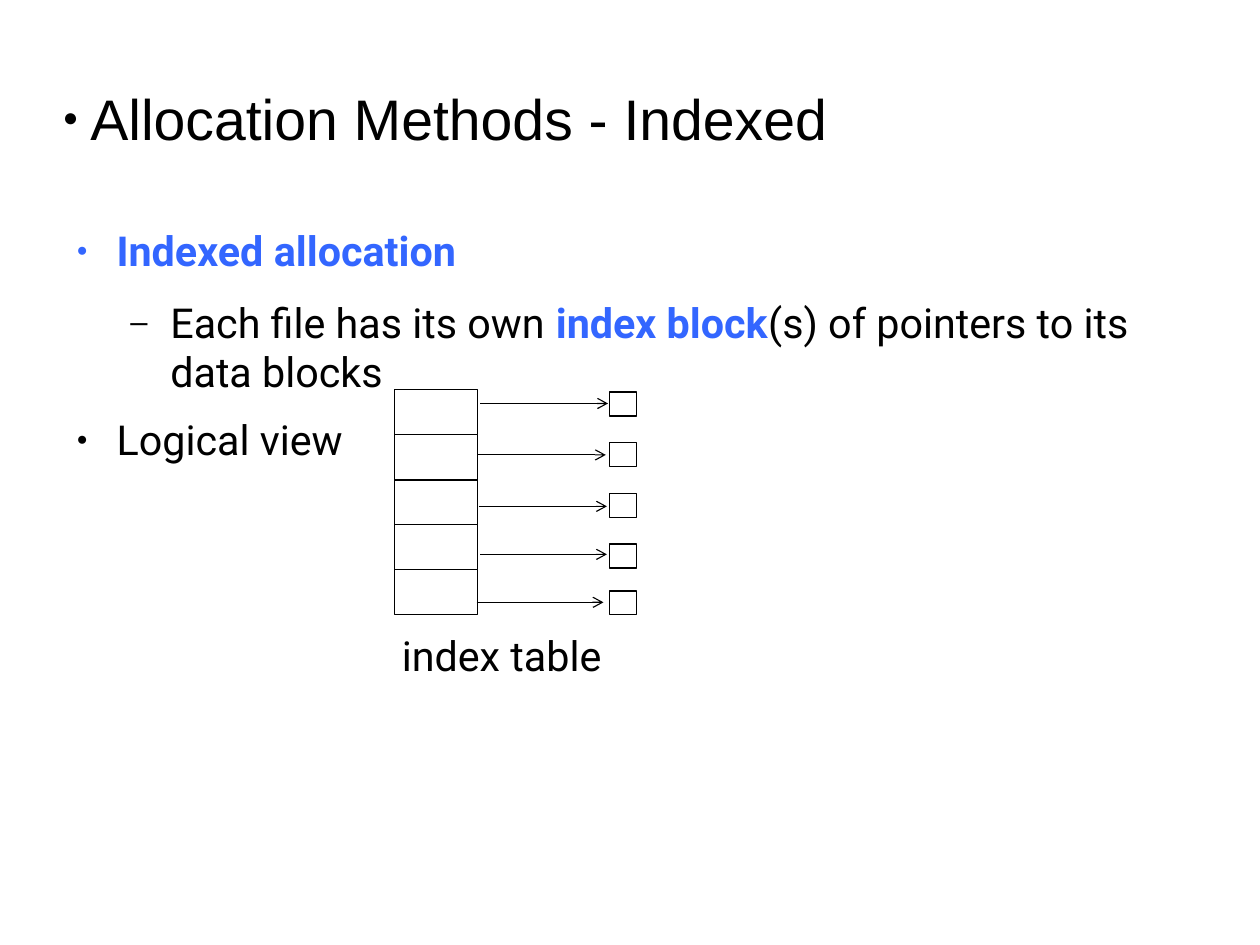
from dataclasses import dataclass

from lxml.etree import SubElement
from pptx import Presentation
from pptx.dml.color import RGBColor
from pptx.enum.shapes import MSO_CONNECTOR, MSO_SHAPE
from pptx.enum.text import MSO_ANCHOR, PP_ALIGN
from pptx.oxml.ns import qn
from pptx.util import Cm, Pt

BLACK = RGBColor(0x00, 0x00, 0x00)
WHITE = RGBColor(0xFF, 0xFF, 0xFF)
BLUE = RGBColor(0x33, 0x66, 0xFF)
EMU_PER_PX = 9144  # 100 px to the inch
CELL_COUNT = 5
CELL_PITCH = 39.3


@dataclass
class Span:
    text: str
    key: bool = False  # key terms are bold and blue


@dataclass
class Bullet:
    spans: list[Span]
    mark: str = "●"
    mark_percent: int = 45
    left: int = 47
    hang: int = 35
    level: int = 0
    after: float = 14.2
    font: str = "Roboto"
    size: int = 26


@dataclass
class Pointer:
    block_top: int
    start: int
    end: int
    y: int


TITLE = Bullet([Span("Allocation Methods - Indexed")], left=24, hang=24,
               after=0, font="Arial", size=36)
BODY = [
    Bullet([Span("Indexed allocation", True)]),
    Bullet([Span("Each file has its own "), Span("index block", True),
            Span("(s) of pointers to its data blocks")],
           mark="–", mark_percent=75, left=94, level=1, after=11.3),
    Bullet([Span("Logical view")]),
]
POINTERS = [
    Pointer(343, 420, 532, 353),
    Pointer(387, 418, 530, 398),
    Pointer(432, 419, 531, 443),
    Pointer(476, 420, 531, 485),
    Pointer(517, 417, 528, 527),
]


def px(length: float) -> int:
    return round(length * EMU_PER_PX)


def add_text_box(page, left: int, top: int, width: int, height: int,
                 margins: tuple[int, int] = (0, 0), wrap: bool = True,
                 anchor: MSO_ANCHOR = MSO_ANCHOR.TOP):
    box = page.shapes.add_textbox(px(left), px(top), px(width), px(height))
    frame = box.text_frame
    frame.word_wrap = wrap
    frame.vertical_anchor = anchor
    frame.margin_left = frame.margin_right = px(margins[0])
    frame.margin_top = frame.margin_bottom = px(margins[1])
    return frame


def write_bullets(frame, bullets: list[Bullet]) -> None:
    for number, bullet in enumerate(bullets):
        para = frame.add_paragraph() if number else frame.paragraphs[0]
        para.level = bullet.level
        para.space_after = Pt(bullet.after)
        para.font.name = bullet.font
        para.font.size = Pt(bullet.size)
        for span in bullet.spans:
            run = para.add_run()
            run.text = span.text
            run.font.bold = span.key
            run.font.color.rgb = BLUE if span.key else BLACK
        # Bullet mark and hanging indent
        properties = para._p.get_or_add_pPr()
        properties.set("marL", str(px(bullet.left)))
        properties.set("indent", str(-px(bullet.hang)))
        mark_size = SubElement(properties, qn("a:buSzPct"))
        mark_size.set("val", str(bullet.mark_percent * 1000))
        SubElement(properties, qn("a:buFont")).set("typeface", "Arial")
        SubElement(properties, qn("a:buChar")).set("char", bullet.mark)
        # The paragraph font must follow the bullet in the schema order
        properties.append(properties.find(qn("a:defRPr")))


def add_block(page, left: int, top: int, width: int, height: int) -> None:
    block = page.shapes.add_shape(MSO_SHAPE.RECTANGLE, px(left), px(top),
                                  px(width), px(height))
    block.shadow.inherit = False
    block.fill.solid()
    block.fill.fore_color.rgb = WHITE
    block.line.color.rgb = BLACK
    block.line.width = Pt(0.75)


def add_arrow(page, pointer: Pointer) -> None:
    arrow = page.shapes.add_connector(
        MSO_CONNECTOR.STRAIGHT, px(pointer.start), px(pointer.y),
        px(pointer.end), px(pointer.y))
    arrow.line.color.rgb = BLACK
    arrow.line.width = Pt(0.75)
    SubElement(arrow.line._get_or_add_ln(), qn("a:tailEnd")).set("type", "arrow")
    SubElement(arrow._element.spPr, qn("a:effectLst"))


def main() -> None:
    deck = Presentation()
    deck.slide_width, deck.slide_height = Cm(28), Cm(21)
    page = deck.slides.add_slide(deck.slide_layouts[6])

    # Title and bullet list
    write_bullets(add_text_box(page, 55, 63, 787, 79, anchor=MSO_ANCHOR.MIDDLE),
                  [TITLE])
    write_bullets(add_text_box(page, 55, 197, 992, 480), BODY)

    # Index table
    for row in range(CELL_COUNT):
        add_block(page, 345, 341 + round(row * CELL_PITCH), 73, 40)

    # Data blocks
    for pointer in POINTERS:
        add_block(page, 533, pointer.block_top, 24, 21)

    # Pointers from the table to the data blocks
    for pointer in POINTERS:
        add_arrow(page, pointer)

    # Caption under the table
    caption = add_text_box(page, 338, 545, 202, 56, margins=(11, 6), wrap=False,
                           anchor=MSO_ANCHOR.MIDDLE).paragraphs[0]
    caption.text = "index table"
    caption.alignment = PP_ALIGN.CENTER
    caption.font.name = "Roboto"
    caption.font.size = Pt(26)
    caption.font.color.rgb = BLACK

    deck.save("out.pptx")


if __name__ == "__main__":
    main()
